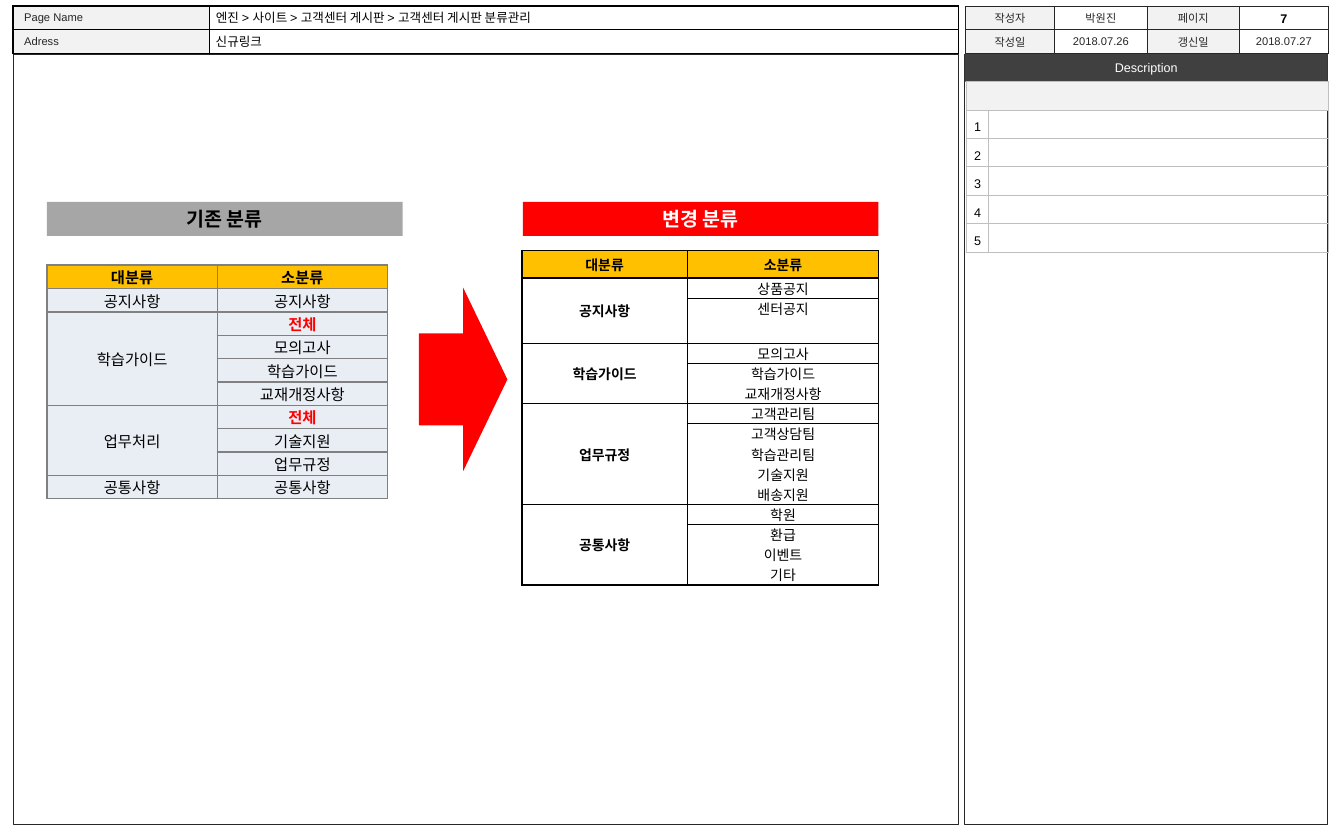
from collections import namedtuple

from lxml import etree
from pptx import Presentation
from pptx.dml.color import RGBColor
from pptx.enum.shapes import MSO_SHAPE
from pptx.enum.text import MSO_ANCHOR, PP_ALIGN
from pptx.oxml.ns import qn
from pptx.util import Cm, Pt

RECTANGLE, RIGHT_ARROW = MSO_SHAPE.RECTANGLE, MSO_SHAPE.RIGHT_ARROW
MIDDLE = MSO_ANCHOR.MIDDLE
LEFT, CENTER = PP_ALIGN.LEFT, PP_ALIGN.CENTER
LATIN, KOREAN = "Arial", "Noto Sans CJK KR"
BLACK, INK, WHITE, RED = "000000", "262626", "FFFFFF", "FF0000"
AMBER, PALE, LABEL = "FFC000", "E9EDF4", "F2F2F2"
NO_STYLE = "{2D5ABB26-0587-4C30-8999-92F81FD0307C}"

Box = namedtuple("Box", "left top width height")  # centimetres

OLD_GROUPS = [
    ("공지사항", ["공지사항"]),
    ("학습가이드", ["전체", "모의고사", "학습가이드", "교재개정사항"]),
    ("업무처리", ["전체", "기술지원", "업무규정"]),
    ("공통사항", ["공통사항"]),
]
NEW_GROUPS = [
    ("공지사항", ["상품공지", "센터공지", ""]),
    ("학습가이드", ["모의고사", "학습가이드", "교재개정사항"]),
    ("업무규정", ["고객관리팀", "고객상담팀", "학습관리팀", "기술지원", "배송지원"]),
    ("공통사항", ["학원", "환급", "이벤트", "기타"]),
]


def color(value):
    return RGBColor.from_string(value)


def write(frame, text, size, font=LATIN, ink=BLACK, bold=False, align=CENTER):
    """Set one formatted line of text in a text frame."""
    frame.word_wrap = True
    frame.vertical_anchor = MIDDLE
    para = frame.paragraphs[0]
    para.text = text
    para.alignment = align
    if not text:
        etree.SubElement(para._p, qn("a:endParaRPr"), sz=str(size * 100))
    for span in para.runs:
        span.font.size, span.font.name, span.font.bold = Pt(size), font, bold
        span.font.color.rgb = color(ink)
        etree.SubElement(span.font._element, qn("a:ea"), typeface=KOREAN)


def add_block(page, box, shape_type=RECTANGLE, fill=None, line=None):
    block = page.shapes.add_shape(shape_type, *map(Cm, box))
    block.shadow.inherit = False
    if fill:
        block.fill.solid()
        block.fill.fore_color.rgb = color(fill)
    else:
        block.fill.background()
    if line:
        block.line.color.rgb = color(line)
        block.line.width = Pt(0.5)
    else:
        block.line.fill.background()
    return block


def add_label(page, box, text, **style):
    label = page.shapes.add_textbox(*map(Cm, box))
    write(label.text_frame, text, 9, **style)


def add_grid(page, box, widths, heights):
    frame = page.shapes.add_table(len(heights), len(widths), *map(Cm, box))
    table = frame.table
    table.first_row = table.horz_banding = False
    table._tbl.tblPr.find(qn("a:tableStyleId")).text = NO_STYLE
    for column, width in zip(table.columns, widths):
        column.width = Cm(width)
    for row, height in zip(table.rows, heights):
        row.height = Cm(height)
    return table


def fill_cell(cell, text, size, fill=None, line=BLACK, weight=1, sides="LRTB",
              side_inset=0, spacing=None, **style):
    cell.margin_left = cell.margin_right = Cm(side_inset)
    cell.margin_top = cell.margin_bottom = 0
    write(cell.text_frame, text, size, **style)
    cell.text_frame.paragraphs[0].line_spacing = spacing
    cell.vertical_anchor = MIDDLE
    properties = cell._tc.get_or_add_tcPr()
    for side in sides:
        border = etree.SubElement(properties, qn("a:ln" + side), w=str(Pt(weight)))
        paint = etree.SubElement(border, qn("a:solidFill"))
        etree.SubElement(paint, qn("a:srgbClr"), val=line)
    if fill:
        cell.fill.solid()
        cell.fill.fore_color.rgb = color(fill)
    else:
        cell.fill.background()


def add_page_header(page, box):
    """Page name and address, with the title over the right column."""
    label_width, row_height = 4.98, box.height / 2
    table = add_grid(page, box, [label_width, box.width - label_width], [row_height] * 2)
    for row, name in enumerate(["Page Name", "Adress"]):
        fill_cell(table.cell(row, 0), name, 8, LABEL, side_inset=0.28, ink=INK, align=LEFT)
        fill_cell(table.cell(row, 1), "", 8, WHITE)

    title = page.shapes.title
    left, width = box.left + label_width - 0.1, box.width - label_width - 0.15
    title.left, title.top, title.width, title.height = map(
        Cm, (left, box.top + 0.05, width, 0.48))
    write(title.text_frame, "엔진 > 사이트 > 고객센터 게시판 > 고객센터 게시판 분류관리", 9, align=LEFT)
    add_label(page, Box(left, box.top + 0.66, width, 0.48), "신규링크", align=LEFT)


def add_document_info(page, box):
    """Author, dates and page number."""
    rows = [["작성자", "박원진", "페이지", ""],
            ["작성일", "2018.07.26", "갱신일", "2018.07.27"]]
    widths = [2.26, 2.34, 2.34, 2.24]
    table = add_grid(page, box, widths, [box.height / 2] * 2)
    for row, texts in enumerate(rows):
        for column, text in enumerate(texts):
            fill_cell(table.cell(row, column), text, 8, WHITE if column % 2 else LABEL,
                      line=INK, weight=0.5, ink=INK)
    number_left = box.left + sum(widths[:3])
    add_label(page, Box(number_left, box.top + 0.06, widths[3], 0.51), "7", bold=True)


def add_description(page, box):
    """Side panel with its heading and numbered rows."""
    add_block(page, box, line=INK)
    heading = add_block(page, Box(box.left, box.top, box.width, 0.7), fill="404040")
    write(heading.text_frame, "Description", 9, ink=WHITE)

    number_width, row_height, count = 0.56, 0.72, 5
    area = Box(box.left + 0.05, box.top + 0.69, box.width - 0.03, row_height * (count + 1))
    table = add_grid(page, area, [number_width, area.width - number_width],
                     [row_height] * (count + 1))
    for row in range(count + 1):
        for column in range(2):
            text = str(row) if row and column == 0 else ""
            fill_cell(table.cell(row, column), text, 9, None if row else LABEL,
                      line="BFBFBF", weight=0.5, spacing=1.5)
    table.cell(0, 0).merge(table.cell(0, 1))


def add_banner(page, box, text, fill, ink):
    banner = add_block(page, box, fill=fill)
    write(banner.text_frame, text, 14, font=KOREAN, ink=ink, bold=True)


def add_categories(page, box, widths, groups, header_height, row_height, size,
                   line, fill=None, bold_groups=False, inner_lines=True):
    """Two-column table of main and sub categories."""
    heights = [header_height]
    for _, items in groups:
        heights += [row_height if item else 0.63 for item in items]
    table = add_grid(page, box, widths, heights)
    for column, text in enumerate(["대분류", "소분류"]):
        fill_cell(table.cell(0, column), text, size, AMBER, line, font=KOREAN, bold=True)
    row = 1
    for name, items in groups:
        last = len(items) - 1
        for index, item in enumerate(items):
            sides = "LR"
            sides += "T" if inner_lines or index == 0 else ""
            sides += "B" if inner_lines or index == last else ""
            fill_cell(table.cell(row + index, 0), "" if index else name, size, fill, line,
                      font=KOREAN, bold=bold_groups)
            marked = item == "전체"
            fill_cell(table.cell(row + index, 1), item, size, fill, line, sides=sides,
                      font=KOREAN, ink=RED if marked else BLACK, bold=marked)
        if last:
            table.cell(row, 0).merge(table.cell(row + last, 0))
        row += len(items)


def add_comparison(page, box):
    """Main canvas: old categories, arrow, new categories."""
    add_block(page, box, line=INK)
    old_left, new_left = box.left + 0.86, box.left + 12.88
    banner_top = box.top + 3.74
    add_categories(page, Box(old_left, box.top + 5.34, 8.62, 5.9), [4.31] * 2, OLD_GROUPS,
                   0.6, 0.59, 11, "808080", fill=PALE)
    add_categories(page, Box(new_left, box.top + 4.98, 9.03, 8.46), [4.18, 4.85], NEW_GROUPS,
                   0.69, 0.51, 10, BLACK, bold_groups=True, inner_lines=False)
    add_block(page, Box(box.left + 10.27, box.top + 5.91, 2.24, 4.65), RIGHT_ARROW, RED)
    add_banner(page, Box(new_left + 0.02, banner_top, 9, 0.86), "변경 분류", RED, WHITE)
    add_banner(page, Box(old_left, banner_top, 9, 0.86), "기존 분류", "A6A6A6", BLACK)


def main():
    deck = Presentation()
    deck.slide_width, deck.slide_height = Cm(34.01), Cm(21.01)
    page = deck.slides.add_slide(deck.slide_layouts[5])
    add_comparison(page, Box(0.33, 1.37, 23.93, 19.51))
    add_description(page, Box(24.41, 1.37, 9.19, 19.51))
    add_page_header(page, Box(0.33, 0.15, 23.93, 1.2))
    add_document_info(page, Box(24.43, 0.15, 9.18, 1.2))
    # Keep the title above the header table
    page.shapes._spTree.append(page.shapes.title._element)
    deck.save("out.pptx")


if __name__ == "__main__":
    main()
